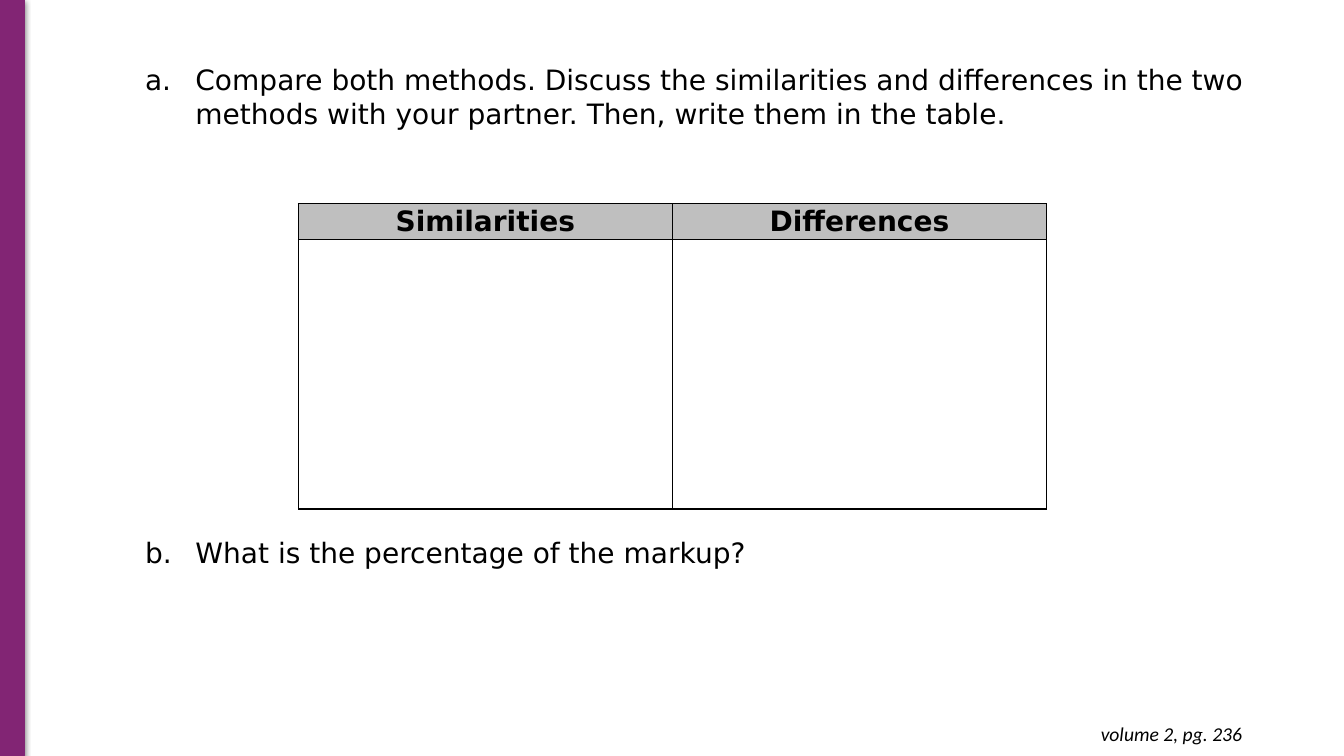
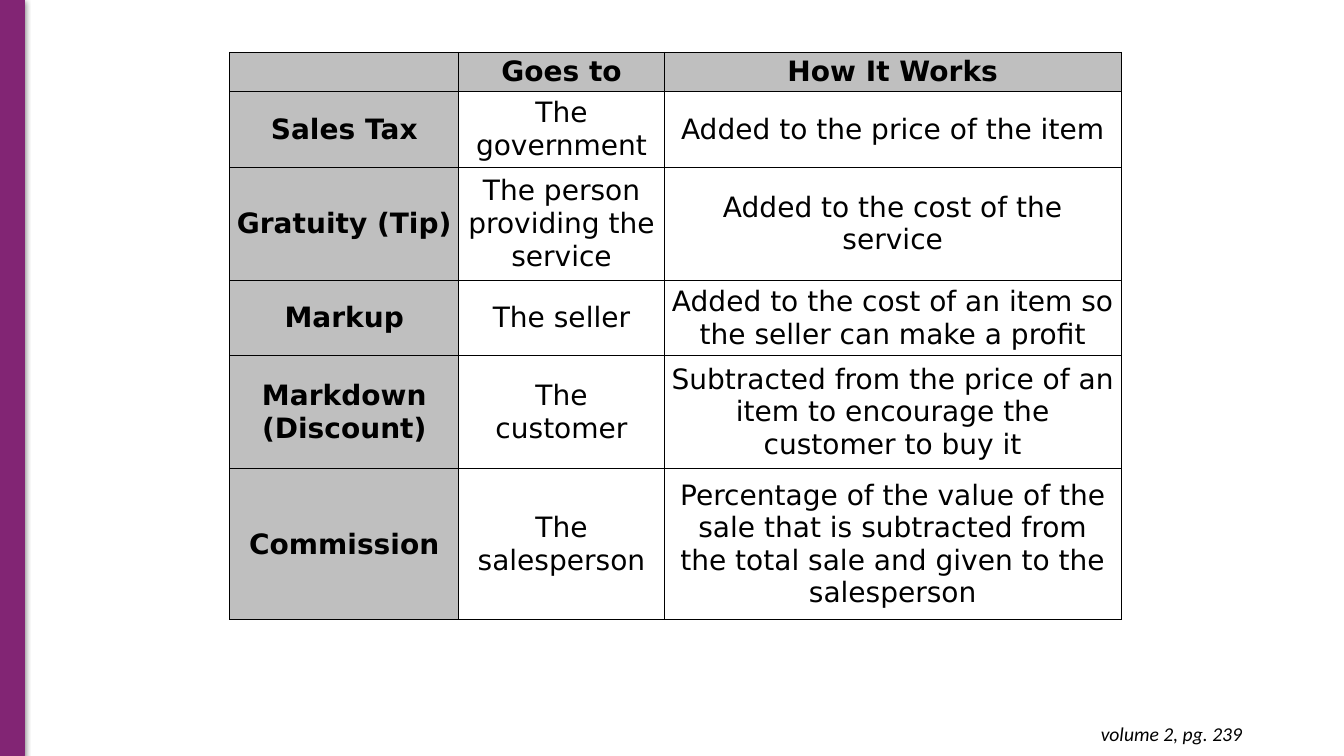
"""Build two lesson slides: a comparison exercise and a percentage summary table."""
from dataclasses import dataclass

from lxml.etree import SubElement, fromstring
from pptx import Presentation
from pptx.dml.color import RGBColor as Rgb
from pptx.enum.shapes import MSO_SHAPE as Shape
from pptx.enum.text import MSO_ANCHOR as Anchor, PP_ALIGN as Align
from pptx.oxml.ns import nsdecls, qn
from pptx.util import Inches, Pt


@dataclass(frozen=True)
class Theme:
    """Colours, fonts and type sizes."""
    accent: Rgb = Rgb(0x82, 0x25, 0x74)
    ink: Rgb = Rgb(0, 0, 0)
    heading_fill: Rgb = Rgb(0xBF, 0xBF, 0xBF)
    body_font: str = "DejaVu Sans"
    footer_font: str = "Calibri"
    body_size: int = 20
    footer_size: int = 14


THEME = Theme()
WIDTH, HEIGHT = 13.33, 7.5
BAR_WIDTH = 0.24
FOOTER = (9.54, 7.06, 2.88, 0.44)
QUESTIONS_BOX = (1.34, 0.57, 11.26, 5.15)
QUESTION_GAP = 290
HANGING_INDENT = 0.5

QUESTIONS = [
    "Compare both methods. Discuss the similarities and differences in the two "
    "methods with your partner. Then, write them in the table.",
    "What is the percentage of the markup?",
]
COMPARISON = {
    "origin": (2.96, 2.02),
    "columns": [3.71, 3.71],
    "heights": [0.36, 2.67],
    "cells": [("Similarities", "Differences"), ("", "")],
    "heading_columns": 0,
}
SUMMARY = {
    "origin": (2.28, 0.52),
    "columns": [2.27, 2.04, 4.53],
    "heights": [0.39, 0.75, 1.12, 0.75, 1.12, 1.5],
    "cells": [
        ("", "Goes to", "How It Works"),
        ("Sales Tax", "The government", "Added to the price of the item"),
        ("Gratuity (Tip)", "The person providing the service",
         "Added to the cost of the service"),
        ("Markup", "The seller",
         "Added to the cost of an item so the seller can make a profit"),
        ("Markdown (Discount)", "The customer",
         "Subtracted from the price of an item to encourage the customer to buy it"),
        ("Commission", "The salesperson",
         "Percentage of the value of the sale that is subtracted from the total "
         "sale and given to the salesperson"),
    ],
    "heading_columns": 1,
}


def style(paragraph, font_name, size, bold=False, italic=False):
    """Set the font of a whole paragraph."""
    font = paragraph.font
    font.name, font.size = font_name, Pt(size)
    font.bold, font.italic = bold, italic
    font.color.rgb = THEME.ink


def add_text_frame(slide, box):
    """Add a wrapping text box and return its frame."""
    frame = slide.shapes.add_textbox(*map(Inches, box)).text_frame
    frame.word_wrap = True
    return frame


def add_side_bar(slide):
    """Add the accent band with its soft shadow."""
    bar = slide.shapes.add_shape(
        Shape.RECTANGLE, 0, 0, Inches(BAR_WIDTH), Inches(HEIGHT))
    bar.fill.solid()
    bar.fill.fore_color.rgb = bar.line.color.rgb = THEME.accent
    bar.line.width = Pt(0.75)
    bar.shadow.inherit = False
    effects = bar.element.spPr.find(qn("a:effectLst"))
    effects.append(fromstring(
        f'<a:outerShdw {nsdecls("a")} blurRad="{Pt(4.5)}" dist="{Pt(1.5)}" '
        f'dir="5400000" rotWithShape="0"><a:srgbClr val="{THEME.ink}">'
        '<a:alpha val="50000"/></a:srgbClr></a:outerShdw>'))


def add_footer(slide, page):
    """Add the page reference."""
    frame = add_text_frame(slide, FOOTER)
    frame.margin_left = frame.margin_right = Inches(0.1)
    frame.margin_top = frame.margin_bottom = Inches(0.1)
    reference = frame.paragraphs[0]
    reference.text = f"volume 2, pg. {page}"
    reference.alignment = Align.RIGHT
    style(reference, THEME.footer_font, THEME.footer_size, italic=True)


def add_questions(slide):
    """Add the lettered questions, leaving room for the table between them."""
    frame = add_text_frame(slide, QUESTIONS_BOX)
    for index, wording in enumerate(QUESTIONS):
        question = frame.add_paragraph() if index else frame.paragraphs[0]
        question.text = wording
        if index:
            question.space_before = Pt(QUESTION_GAP)
        properties = question._p.get_or_add_pPr()
        properties.set("marL", str(Inches(HANGING_INDENT)))
        properties.set("indent", str(-Inches(HANGING_INDENT)))
        SubElement(properties, qn("a:buFont"), typeface=THEME.body_font)
        SubElement(properties, qn("a:buAutoNum"), type="alphaLcPeriod")
        style(question, THEME.body_font, THEME.body_size)


def add_borders(cell):
    """Draw a thin line on each side of a cell."""
    properties = cell._tc.get_or_add_tcPr()
    for position, side in enumerate("LRTB"):
        properties.insert(position, fromstring(
            f'<a:ln{side} {nsdecls("a")} w="{Pt(1)}"><a:solidFill>'
            f'<a:srgbClr val="{THEME.ink}"/></a:solidFill></a:ln{side}>'))


def format_cell(cell, wording, is_heading):
    """Fill in one cell with its text, fill and borders."""
    cell.text = wording
    cell.vertical_anchor = Anchor.MIDDLE
    cell.margin_left = cell.margin_right = Inches(0.07)
    cell.margin_top = cell.margin_bottom = 0
    paragraph = cell.text_frame.paragraphs[0]
    paragraph.alignment = Align.CENTER
    style(paragraph, THEME.body_font, THEME.body_size, bold=is_heading)
    if is_heading:
        cell.fill.solid()
        cell.fill.fore_color.rgb = THEME.heading_fill
    else:
        cell.fill.background()
    add_borders(cell)


def add_grid(slide, content):
    """Add a table with a heading row and optional heading columns."""
    columns, heights = content["columns"], content["heights"]
    box = (*content["origin"], sum(columns), sum(heights))
    table = slide.shapes.add_table(
        len(heights), len(columns), *map(Inches, box)).table
    for column, width in zip(table.columns, columns):
        column.width = Inches(width)
    for row, height in zip(table.rows, heights):
        row.height = Inches(height)
    for r, wordings in enumerate(content["cells"]):
        for c, wording in enumerate(wordings):
            is_heading = r == 0 or c < content["heading_columns"]
            format_cell(table.cell(r, c), wording, is_heading)


def add_page(deck, page):
    """Add a blank slide with the shared band and footer."""
    slide = deck.slides.add_slide(deck.slide_layouts.get_by_name("Blank"))
    add_side_bar(slide)
    add_footer(slide, page)
    return slide


def main():
    """Assemble and save the deck."""
    deck = Presentation()
    deck.slide_width, deck.slide_height = Inches(WIDTH), Inches(HEIGHT)
    exercise = add_page(deck, 236)
    add_questions(exercise)
    add_grid(exercise, COMPARISON)
    add_grid(add_page(deck, 239), SUMMARY)
    deck.save("out.pptx")


if __name__ == "__main__":
    main()
